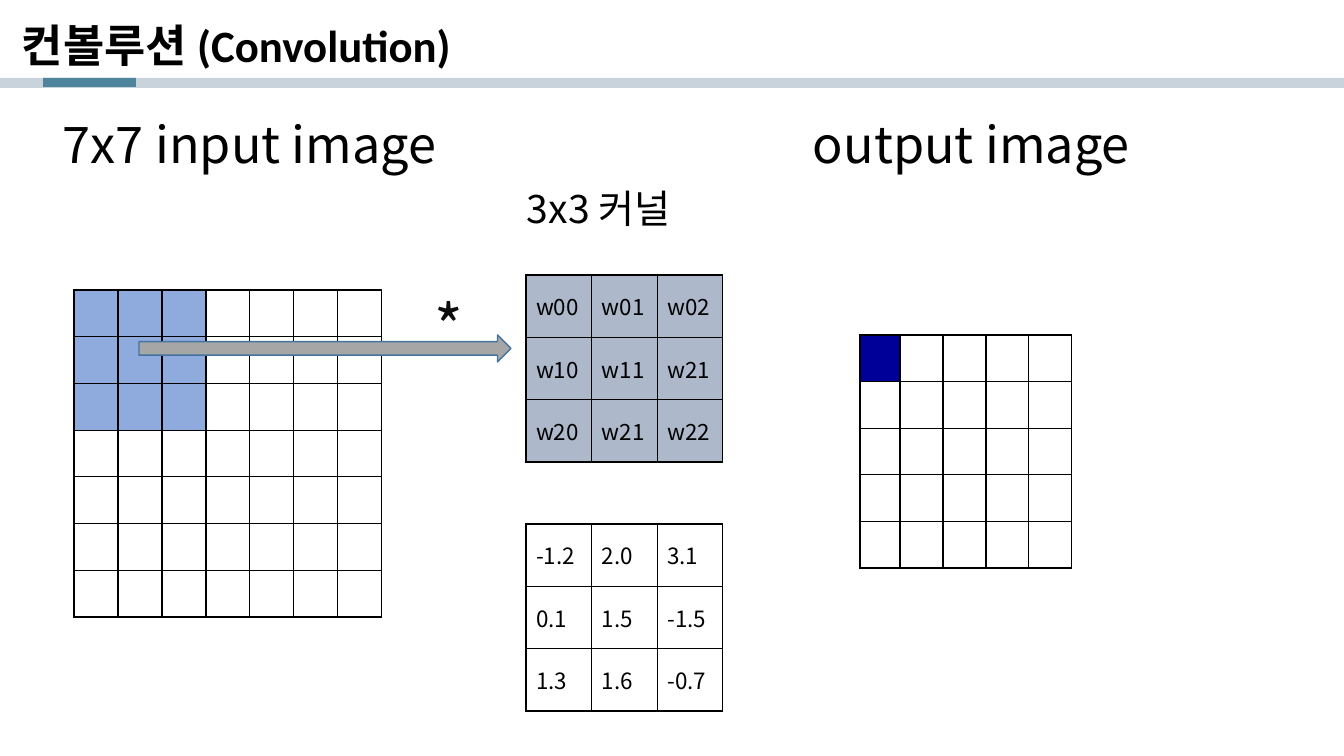
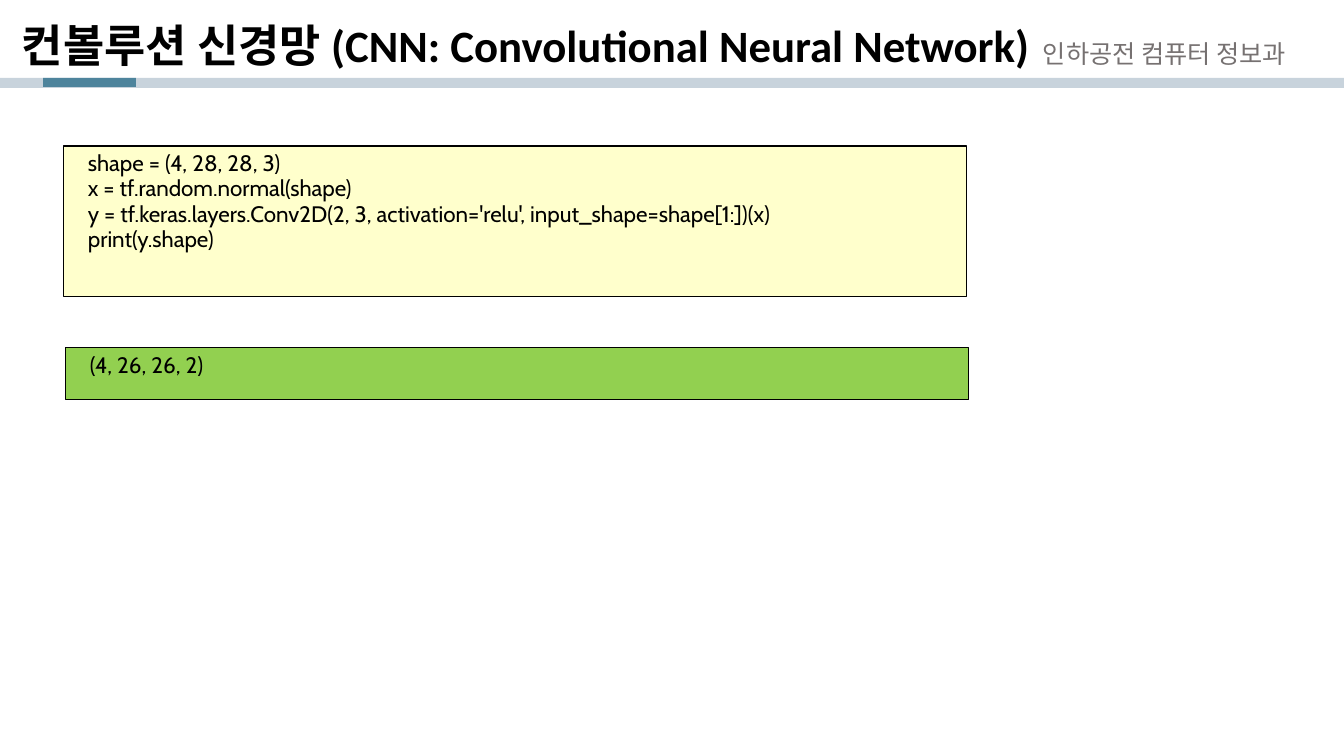
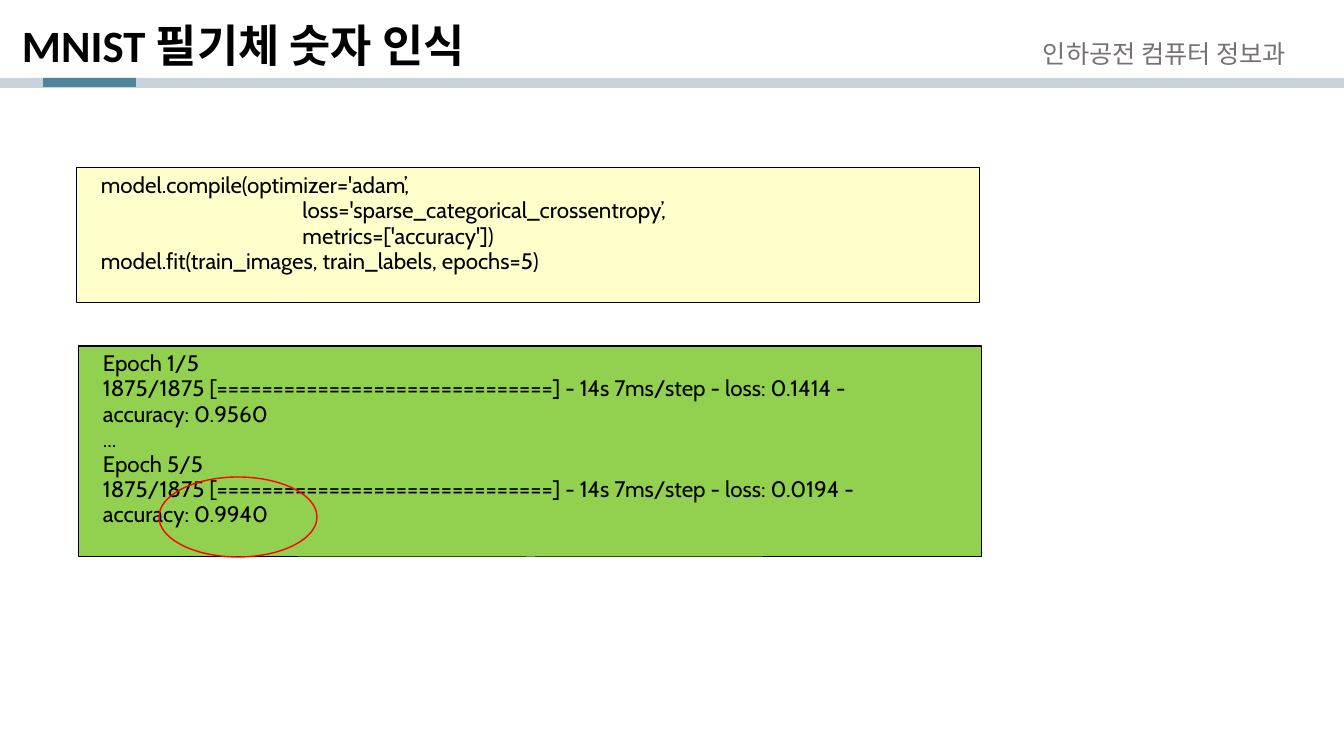
from lxml.etree import SubElement
from pptx import Presentation
from pptx.dml.color import RGBColor
from pptx.enum.shapes import MSO_SHAPE
from pptx.enum.text import MSO_ANCHOR
from pptx.oxml.ns import qn
from pptx.util import Emu, Pt

BLACK = RGBColor(0x00, 0x00, 0x00)
NEAR_BLACK = RGBColor(0x0D, 0x0D, 0x0D)
WHITE = RGBColor(0xFF, 0xFF, 0xFF)
GREY = RGBColor(0x76, 0x71, 0x71)
BAND = RGBColor(0x98, 0xAC, 0xBD)
ACCENT = RGBColor(0x4E, 0x84, 0x9C)
INPUT_BLUE = RGBColor(0x8F, 0xAA, 0xDC)
OUTPUT_BLUE = RGBColor(0x00, 0x00, 0x99)
KERNEL = RGBColor(0xAD, 0xB9, 0xCA)
ARROW = RGBColor(0xA6, 0xA6, 0xA6)
ARROW_LINE = RGBColor(0x43, 0x73, 0x9E)
CODE_YELLOW = RGBColor(0xFF, 0xFF, 0xCC)
RESULT_GREEN = RGBColor(0x92, 0xD0, 0x50)
RED = RGBColor(0xFF, 0x00, 0x00)

BODY_FONT = "Noto Sans CJK KR"
TITLE_FONT = "Calibri"
CODE_FONT = "Cabin"
PIXELS_PER_INCH = 100.8
DEPARTMENT = "인하공전 컴퓨터 정보과"


def px(*lengths):
    return [Emu(round(length * 914400 / PIXELS_PER_INCH)) for length in lengths]


class SlideBuilder:
    def __init__(self):
        self.deck = Presentation()
        self.deck.slide_width, self.deck.slide_height = px(1344, 756)
        self.page = None

    def new_page(self, title, department=None):
        self.page = self.deck.slides.add_slide(self.deck.slide_layouts[6])
        band = self.shape(MSO_SHAPE.RECTANGLE, (0, 78, 1344, 10), BAND)
        color = band.fill._xPr.find(qn("a:solidFill"))[0]
        SubElement(color, qn("a:alpha"), val="53000")
        self.shape(MSO_SHAPE.RECTANGLE, (43, 78, 93, 9), ACCENT)
        box = self.text(title, (6, 9, 1333, 78), 32, BLACK, TITLE_FONT, True)
        frame = box.text_frame
        frame.margin_left = px(16)[0]
        frame.vertical_anchor = MSO_ANCHOR.MIDDLE
        frame.paragraphs[0].line_spacing = 0.9
        if department:
            self.text(department, (1033, 33, 293, 40), 18, GREY)

    def style(self, para, size, color, font=BODY_FONT, bold=False):
        for span in para.runs:
            span.font.size = Pt(size)
            span.font.bold = bold
            span.font.color.rgb = color
            span.font.name = font
            SubElement(span.font._element, qn("a:ea"), typeface=BODY_FONT)

    def text(self, words, area, size, color=BLACK, font=BODY_FONT, bold=False):
        box = self.page.shapes.add_textbox(*px(*area))
        box.text_frame.word_wrap = True
        box.text_frame.text = words
        self.style(box.text_frame.paragraphs[0], size, color, font, bold)
        return box

    def shape(self, kind, area, fill=None, line=None, width=1):
        shape = self.page.shapes.add_shape(kind, *px(*area))
        shape.shadow.inherit = False
        if fill is None:
            shape.fill.background()
        else:
            shape.fill.solid()
            shape.fill.fore_color.rgb = fill
        if line is None:
            shape.line.fill.background()
        else:
            shape.line.color.rgb = line
            shape.line.width = Pt(width)
        return shape

    def code(self, lines, area, fill):
        box = self.shape(MSO_SHAPE.RECTANGLE, area, fill, BLACK, 0.75)
        frame = box.text_frame
        frame.word_wrap = True
        frame.vertical_anchor = MSO_ANCHOR.TOP
        frame.text = "\n".join(lines)
        indent = px(14)[0]
        for para in frame.paragraphs:
            properties = para._p.get_or_add_pPr()
            for name, value in (("marL", indent), ("indent", 0), ("algn", "l"), ("defTabSz", 914400)):
                properties.set(name, str(value))
            para.line_spacing = Pt(18)
            self.style(para, 16, BLACK, CODE_FONT)

    def grid(self, rows, area, fill_rule):
        frame = self.page.shapes.add_table(len(rows), len(rows[0]), *px(*area))
        table = frame.table
        for row, words in enumerate(rows):
            for column, word in enumerate(words):
                cell = table.cell(row, column)
                self.border(cell)
                cell.fill.solid()
                cell.fill.fore_color.rgb = fill_rule(row, column)
                cell.vertical_anchor = MSO_ANCHOR.MIDDLE
                if word:
                    cell.text_frame.text = word
                    self.style(cell.text_frame.paragraphs[0], 16, BLACK)
        return table

    def border(self, cell):
        properties = cell._tc.get_or_add_tcPr()
        for side in ("lnL", "lnR", "lnT", "lnB"):
            line = SubElement(properties, qn("a:" + side), w=str(Pt(1)))
            fill = SubElement(line, qn("a:solidFill"))
            SubElement(fill, qn("a:srgbClr"), val=str(BLACK))


def convolution(builder):
    builder.new_page("컨볼루션 (Convolution)")
    builder.grid([[""] * 7] * 7, (74, 290, 308, 327),
                 lambda row, column: INPUT_BLUE if max(row, column) < 3 else WHITE)
    output = builder.grid([[""] * 5] * 5, (860, 335, 215, 233),
                          lambda row, column: OUTPUT_BLUE if row == column == 0 else WHITE)
    output.columns[0].width = px(40)[0]
    builder.text("7x7 input image", (53, 108, 452, 72), 36)
    builder.text("output image", (803, 108, 380, 72), 36)
    builder.text("3x3 커널", (517, 179, 237, 57), 28)
    builder.grid([["w00", "w01", "w02"], ["w10", "w11", "w21"], ["w20", "w21", "w22"]],
                 (526, 275, 197, 187), lambda row, column: KERNEL)
    builder.shape(MSO_SHAPE.RIGHT_ARROW, (139, 335, 372, 27), ARROW, ARROW_LINE)
    builder.text("*", (425, 284, 57, 85), 44, NEAR_BLACK)
    builder.grid([["-1.2", "2.0", "3.1"], ["0.1", "1.5", "-1.5"], ["1.3", "1.6", "-0.7"]],
                 (526, 524, 197, 187), lambda row, column: WHITE)


def network(builder):
    builder.new_page("컨볼루션 신경망 (CNN: Convolutional Neural Network)", DEPARTMENT)
    builder.code([
        "shape = (4, 28, 28, 3)",
        "x = tf.random.normal(shape)",
        "y = tf.keras.layers.Conv2D(2, 3, activation='relu', input_shape=shape[1:])(x)",
        "print(y.shape)",
    ], (64, 146, 903, 151), CODE_YELLOW)
    builder.code(["(4, 26, 26, 2)"], (66, 348, 903, 52), RESULT_GREEN)


def digits(builder):
    builder.new_page("MNIST 필기체 숫자 인식", DEPARTMENT)
    builder.code([
        "model.compile(optimizer='adam’,",
        "\t\tloss='sparse_categorical_crossentropy’,",
        "\t\tmetrics=['accuracy'])",
        "model.fit(train_images, train_labels, epochs=5)",
    ], (77, 168, 903, 135), CODE_YELLOW)
    progress = "1875/1875 [==============================] - 14s 7ms/step - loss: "
    builder.code([
        "Epoch 1/5",
        progress + "0.1414 -",
        "accuracy: 0.9560",
        "...",
        "Epoch 5/5",
        progress + "0.0194 -",
        "accuracy: 0.9940",
    ], (79, 346, 903, 211), RESULT_GREEN)
    builder.shape(MSO_SHAPE.OVAL, (159, 477, 158, 80), line=RED)


def main():
    builder = SlideBuilder()
    for build in (convolution, network, digits):
        build(builder)
    builder.deck.save("out.pptx")


if __name__ == "__main__":
    main()
